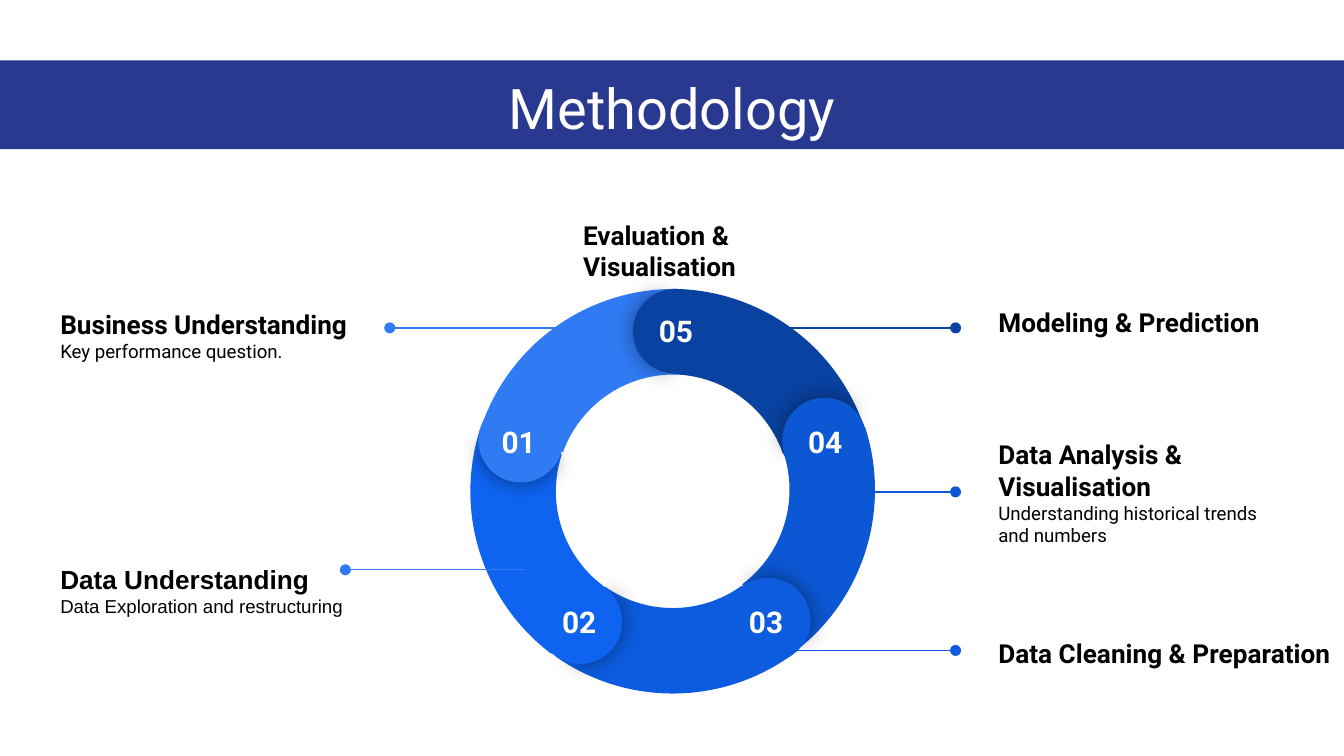
from lxml import etree
from pptx import Presentation, util as u
from pptx.dml.color import RGBColor
from pptx.enum import shapes, text
from pptx.oxml import parse_xml
from pptx.oxml.ns import nsdecls, qn

PX = 9144
RING = (348, 213, 303, 303)
CAP = 63
SEGMENTS = [
    ("02", "0E63F0", 277, (2, 1), 211.1, (52, 218), (3, 8)),
    ("04", "0C57D3", 132, (0, 0), 67.1, (234, 83), (4, 9)),
    ("05", "0942A1", 60, (0, 2), 357.1, (123, 2), (4, 8)),
    ("03", "0D5CDF", 204, (1, 0), 139.1, (192, 217), (2, 9)),
    ("01", "307AF3", 350, (2, 2), 284.1, (8, 83), (2, 9)),
]
CALLOUTS = [
    ((35, 199, 251, 101), "Business Understanding", "Key performance question.",
     "307AF3", (424, 290, 244), "Roboto", 1.0),
    ((733, 434, 267, 101), "Data Cleaning & Preparation", "",
     "0D5CDF", (510, 711, 484), "Roboto", 1.15),
    ((733, 189, 232, 101), "Modeling & Prediction", "",
     "0942A1", (571, 711, 244), "Roboto", 1.0),
    ((733, 316, 232, 101), "Data Analysis & Visualisation",
     "Understanding historical trends and numbers",
     "0C57D3", (614, 711, 366), "Roboto", 1.0),
    ((35, 387, 232, 101), "Data Understanding", "Data Exploration and restructuring",
     "307AF3", (391, 257, 424), "Arial", 1.15),
]


def px(*lengths):
    """Turn px lengths into EMU."""
    return [u.Emu(round(length * PX)) for length in lengths]


def colour(code):
    """Return the colour of a hex string."""
    return RGBColor.from_string(code)


def format_para(para, size, code, font="Roboto", bold=False, align=None):
    """Format a paragraph and its runs."""
    para.alignment = align
    for span in para.runs:
        span.font.name = font
        span.font.size = u.Pt(size)
        span.font.bold = bold
        span.font.color.rgb = colour(code)


def set_frame(frame, anchor):
    """Give a text frame its insets, wrapping and anchor."""
    frame.word_wrap = True
    frame.auto_size = text.MSO_AUTO_SIZE.NONE
    frame.vertical_anchor = anchor
    frame.margin_left, frame.margin_top, frame.margin_right, frame.margin_bottom = px(10, 10, 10, 10)


def add_text(page, box, words, anchor=text.MSO_ANCHOR.MIDDLE):
    """Add a text box and return its paragraphs."""
    frame = page.shapes.add_textbox(*px(*box)).text_frame
    set_frame(frame, anchor)
    frame.text = words
    return frame.paragraphs


def add_title(page, box, words):
    """Turn the title placeholder into a full-width band."""
    title = page.shapes.title
    title.left, title.top, title.width, title.height = px(*box)
    title.fill.solid()
    title.fill.fore_color.rgb = colour("2A3990")
    set_frame(title.text_frame, text.MSO_ANCHOR.TOP)
    title.text_frame.text = words
    format_para(title.text_frame.paragraphs[0], 30, "FFFFFF", align=text.PP_ALIGN.CENTER)


def add_leader(page, start, end, y, code):
    """Draw a horizontal leader that ends in a dot."""
    line = page.shapes.add_connector(shapes.MSO_CONNECTOR.STRAIGHT, *px(start, y, end, y))
    line.line.color.rgb = colour(code)
    line.line.width = u.Pt(0.75)
    etree.SubElement(line.line._get_or_add_ln(), qn("a:tailEnd"), type="oval")
    etree.SubElement(line._element.spPr, qn("a:effectLst"))


def add_callout(page, box, heading, detail, code, leader, font, spacing):
    """Place a step's leader, heading and optional detail."""
    add_leader(page, *leader, code)
    words = f"{heading}\n{detail}" if detail else heading
    paras = add_text(page, box, words)
    paras[0].line_spacing = spacing
    format_para(paras[0], 14, "000000", font, True)
    for para in paras[1:]:
        format_para(para, 10, "000000", font)


def add_sector(page, kind, box, code, rotation, adjustments):
    """Add a rotated, filled arc or pie without outline."""
    sector = page.shapes.add_shape(kind, *px(*box))
    for index, value in enumerate(adjustments):
        sector.adjustments[index] = value
    sector.rotation = rotation
    sector.shadow.inherit = False
    sector.fill.solid()
    sector.fill.fore_color.rgb = colour(code)
    sector.line.fill.background()
    return sector


def add_glow(shape):
    """Give a shape a soft black shadow."""
    effects = shape._element.spPr.find(qn("a:effectLst"))
    effects.append(parse_xml(
        f'<a:outerShdw {nsdecls("a")} blurRad="{u.Pt(11.2)}" dist="0" dir="0" algn="ctr" rotWithShape="0">'
        '<a:srgbClr val="000000"><a:alpha val="43000"/></a:srgbClr></a:outerShdw>'))


def add_ring(page, box):
    """Draw the ring of arcs with overlapping numbered caps."""
    left, top, width, height = box
    kinds = shapes.MSO_SHAPE
    for number, code, turn, (dx, dy), *rest in SEGMENTS:
        arc = (left + dx, top + dy, width, height)
        add_sector(page, kinds.BLOCK_ARC, arc, code, turn, (126.03, 168.68, 0.21))
    for number, code, turn, shift, cap_turn, (x, y), (dx, dy) in SEGMENTS:
        cap = (left + x, top + y, CAP, CAP)
        add_glow(add_sector(page, kinds.PIE, cap, code, cap_turn, (61.9, 149.96)))
        add_sector(page, kinds.PIE, cap, code, (cap_turn + 179.3) % 360, (40.28, 171.84))
        label = (left + x + dx, top + y + dy, 56, 29)
        paras = add_text(page, label, number, text.MSO_ANCHOR.TOP)
        format_para(paras[0], 16, "FFFFFF", bold=True, align=text.PP_ALIGN.CENTER)


def main():
    """Build the methodology slide."""
    deck = Presentation()
    deck.slide_width, deck.slide_height = px(1000, 562.5)
    page = deck.slides.add_slide(deck.slide_layouts[5])
    add_title(page, (0, 45, 1000, 66), "Methodology")
    for callout in CALLOUTS[:-1]:
        add_callout(page, *callout)
    add_ring(page, RING)
    add_callout(page, *CALLOUTS[-1])
    evaluation = add_text(page, (424, 158, 150, 57), "Evaluation & Visualisation")
    format_para(evaluation[0], 14, "000000", bold=True)
    deck.save("out.pptx")


if __name__ == "__main__":
    main()
